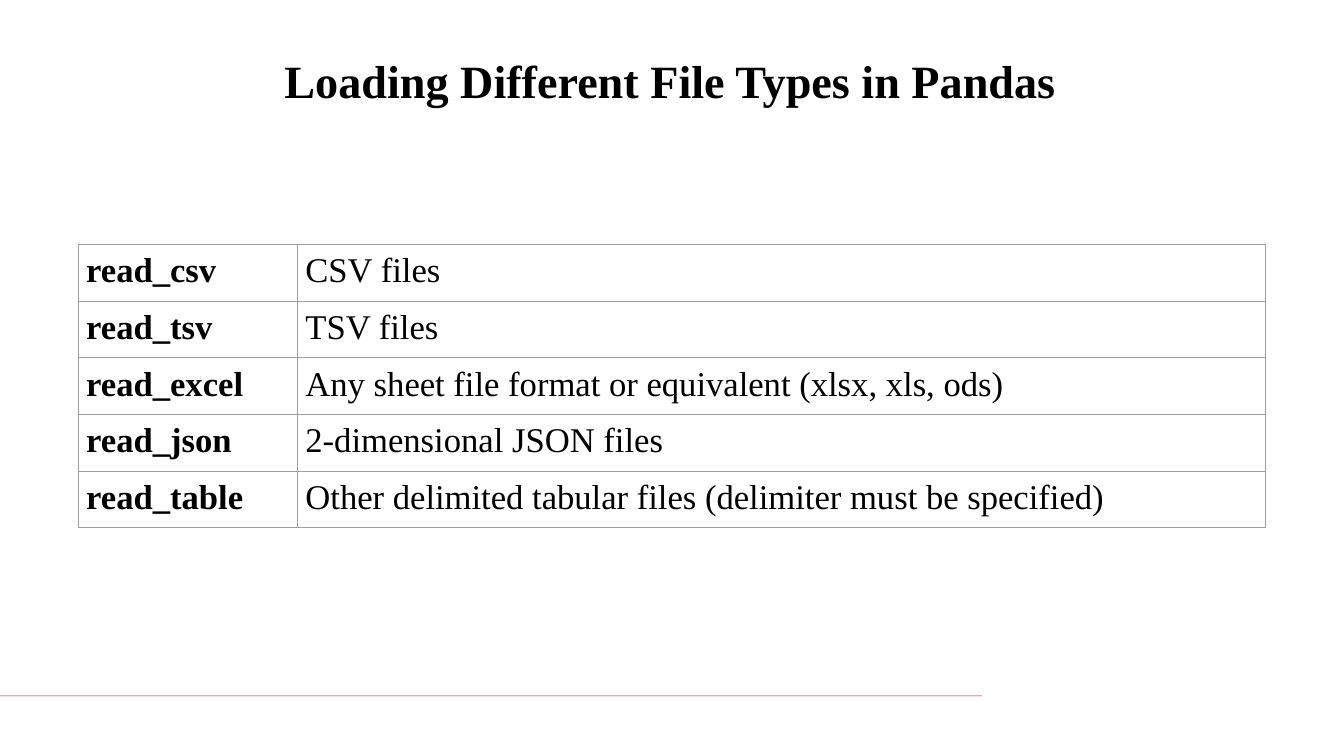
from lxml import etree
from pptx import Presentation, util as u
from pptx.dml.color import RGBColor
from pptx.enum import shapes, text
from pptx.oxml.ns import qn

FONT = "Times New Roman"
EDGE = "9E9E9E"
ROWS = [
    ("read_csv", "CSV files"),
    ("read_tsv", "TSV files"),
    ("read_excel", "Any sheet file format or equivalent (xlsx, xls, ods)"),
    ("read_json", "2-dimensional JSON files"),
    ("read_table", "Other delimited tabular files (delimiter must be specified)"),
]
COLS = (2.9, 12.8)
ROW = 0.75


def style(par, size, bold):
    font = par.font
    font.name, font.size, font.bold = FONT, u.Pt(size), bold
    font.color.rgb = RGBColor.from_string("000000")


def border(cell):
    props = cell._tc.get_or_add_tcPr()
    for side in ("lnL", "lnR", "lnT", "lnB"):
        line = etree.SubElement(props, qn("a:" + side), w=str(u.Pt(0.75)))
        fill = etree.SubElement(line, qn("a:solidFill"))
        etree.SubElement(fill, qn("a:srgbClr"), val=EDGE)


deck = Presentation()
deck.slide_width, deck.slide_height = u.Inches(17.78), u.Inches(10)
slide = deck.slides.add_slide(deck.slide_layouts[5])

# Footer rule
rule = slide.shapes.add_shape(
    shapes.MSO_SHAPE.RECTANGLE, 0, u.Inches(9.2), u.Inches(12.99), u.Inches(0.01))
rule.shadow.inherit = False
rule.fill.solid()
rule.fill.fore_color.rgb = RGBColor.from_string("BC0940")
rule.line.fill.background()

# Title
title = slide.shapes.title
title.left, title.top = u.Inches(0.66), u.Inches(0.64)
title.width, title.height = u.Inches(16.42), u.Inches(0.84)
frame = title.text_frame
frame.text = "Loading Different File Types in Pandas"
frame.vertical_anchor = text.MSO_ANCHOR.TOP
frame.auto_size = text.MSO_AUTO_SIZE.NONE
frame.paragraphs[0].alignment = text.PP_ALIGN.CENTER
style(frame.paragraphs[0], 44, True)

# Table of readers
table = slide.shapes.add_table(
    len(ROWS), len(COLS), u.Inches(1.04), u.Inches(3.23),
    u.Inches(sum(COLS)), u.Inches(ROW * len(ROWS))).table
table.first_row = table.horz_banding = False
for col, width in zip(table.columns, COLS):
    col.width = u.Inches(width)
for row, words in zip(table.rows, ROWS):
    row.height = u.Inches(ROW)
    for i, (cell, word) in enumerate(zip(row.cells, words)):
        cell.text = word
        cell.margin_left = cell.margin_right = u.Inches(0.1)
        cell.margin_top = cell.margin_bottom = u.Inches(0.1)
        border(cell)
        cell.fill.background()
        style(cell.text_frame.paragraphs[0], 33, i == 0)

deck.save("out.pptx")
